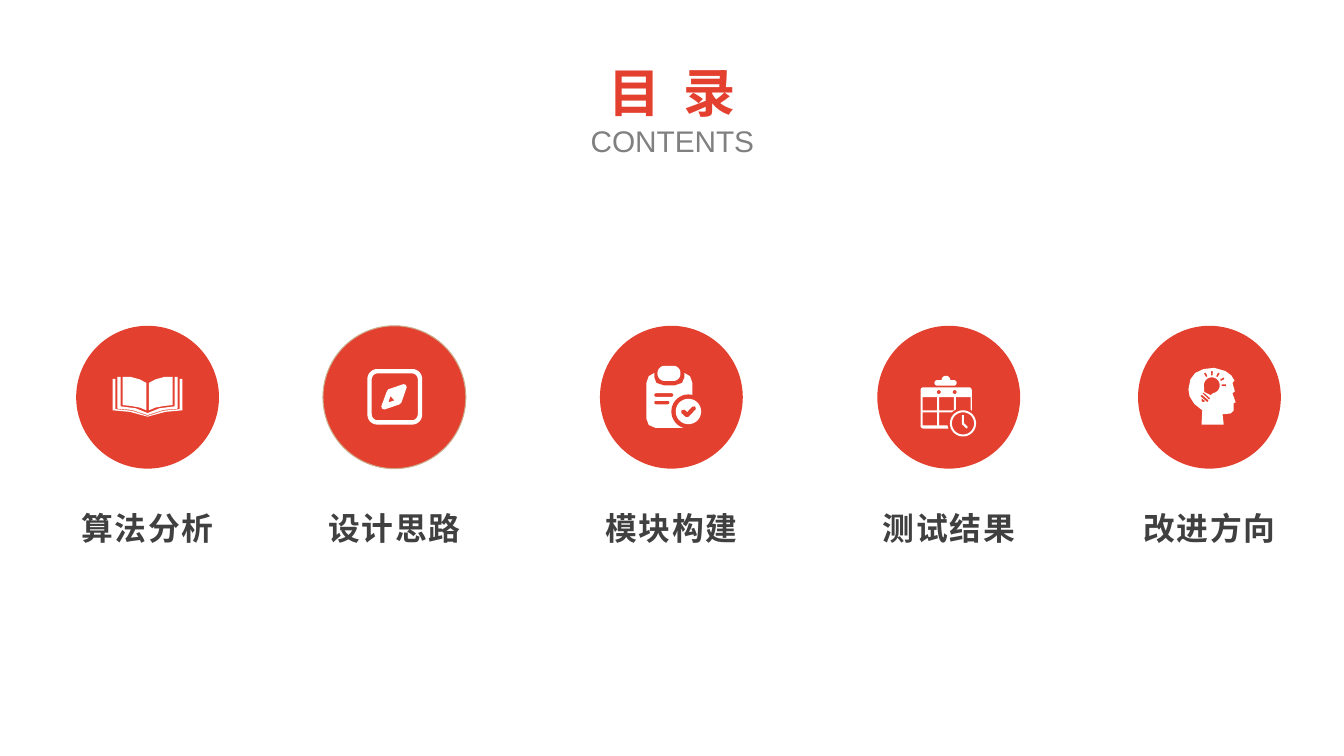
from math import cos, radians, sin

from lxml import etree
from pptx import Presentation
from pptx.dml.color import RGBColor
from pptx.enum.shapes import MSO_SHAPE
from pptx.enum.text import PP_ALIGN
from pptx.oxml.ns import qn
from pptx.util import Cm, Pt

OVAL = MSO_SHAPE.OVAL
CENTER = PP_ALIGN.CENTER

RED = RGBColor(0xE4, 0x40, 0x2F)
TAN = RGBColor(0xCB, 0xAB, 0x89)
GREY = RGBColor(0x80, 0x80, 0x80)
DARK = RGBColor(0x40, 0x40, 0x40)
WHITE = RGBColor(0xFF, 0xFF, 0xFF)

CJK_FONT = "Noto Sans CJK SC"
TITLE = dict(name="Roboto Condensed", size=Pt(37.3), bold=True)
SUBTITLE = dict(name="Arial", size=Pt(21.3), bold=False)
LABEL = dict(name=CJK_FONT, size=Pt(22.7), bold=True)

DIAMETER = 3.6
CENTER_Y = 10.01
LABEL_W = 6


def arc(x, y, radius, start=0, end=360):
    """Points along an arc; angles in degrees, clockwise from the right."""
    steps = max(6, int(abs(end - start) / 10))
    angles = [radians(start + (end - start) * i / steps) for i in range(steps + 1)]
    return [(x + radius * cos(a), y + radius * sin(a)) for a in angles]


def rounded(x, y, w, h, radius):
    """Points of a rectangle with round corners."""
    left, right, top, bottom = x + radius, x + w - radius, y + radius, y + h - radius
    return (arc(left, top, radius, 180, 270) + arc(right, top, radius, 270, 360)
            + arc(right, bottom, radius, 0, 90) + arc(left, bottom, radius, 90, 180))


def box(x, y, w, h):
    return [(x, y), (x + w, y), (x + w, y + h), (x, y + h)]


# An icon is a list of (colour, outlines) layers in cm from its circle's centre;
# an outline inside another one is a hole.

def book_icon():
    half = [
        [(0.03, -0.36), (0.2, -0.45), (0.42, -0.51), (0.63, -0.51),
         (0.63, 0.2), (0.42, 0.22), (0.2, 0.26), (0.03, 0.33)],
        [(0.68, -0.51), (0.76, -0.51), (0.76, 0.29), (0.4, 0.32), (0, 0.45),
         (0, 0.4), (0.3, 0.28), (0.68, 0.23)],
        [(0.81, -0.46), (0.88, -0.46), (0.88, 0.33), (0.45, 0.37), (0, 0.49),
         (0, 0.47), (0.4, 0.34), (0.81, 0.3)],
    ]
    return [(WHITE, half + [[(-x, y) for x, y in outline] for outline in half])]


def compass_icon():
    frame = [rounded(-0.68, -0.71, 1.38, 1.4, 0.25),
             rounded(-0.57, -0.6, 1.16, 1.18, 0.15)]
    needle = [(0.23, -0.33), (-0.15, -0.2), (-0.19, -0.15), (-0.33, 0.23),
              (-0.31, 0.29), (-0.25, 0.31), (0.13, 0.18), (0.18, 0.13),
              (0.31, -0.25), (0.29, -0.31)]
    eye = [(-0.15, 0.13), (-0.1, -0.03), (0, 0.08)]
    return [(WHITE, [needle, eye]), (WHITE, frame)]


def clipboard_icon():
    clip = rounded(-0.35, -0.79, 0.58, 0.38, 0.18)
    body = [(-0.43, -0.61), (-0.43, -0.5), (-0.38, -0.36), (-0.2, -0.3),
            (0.1, -0.3), (0.27, -0.36), (0.33, -0.5), (0.33, -0.61),
            (0.47, -0.53), (0.53, -0.36), (0.53, 0.77), (-0.41, 0.77),
            (-0.57, 0.7), (-0.63, 0.54), (-0.63, -0.36), (-0.57, -0.53)]
    rows = [rounded(-0.43, -0.1, 0.48, 0.09, 0.04),
            rounded(-0.43, 0.09, 0.38, 0.09, 0.04)]
    tick = [(0.25, 0.33), (0.33, 0.31), (0.4, 0.37), (0.52, 0.24), (0.6, 0.23),
            (0.62, 0.3), (0.43, 0.5), (0.36, 0.5), (0.25, 0.4)]
    return [(WHITE, [clip, body, *rows]),
            (RED, [arc(0.43, 0.36, 0.43)]),
            (WHITE, [arc(0.43, 0.36, 0.32), tick])]


def calendar_icon():
    clip = [rounded(-0.36, -0.43, 0.56, 0.14, 0.07), arc(-0.07, -0.43, 0.11, 180, 360)]
    dots = [arc(x, -0.13, 0.05) for x in (-0.25, 0.15)]
    cells = [box(-0.66 + 0.42 * col, 0.38 * row, 0.37, 0.33)
             for row in range(2) for col in range(3)]
    hands = [(0.33, 0.45), (0.38, 0.45), (0.38, 0.65), (0.48, 0.75),
             (0.45, 0.79), (0.33, 0.68)]
    clock = [arc(0.36, 0.66, 0.33), arc(0.36, 0.66, 0.28), hands]
    return [(WHITE, clip + [rounded(-0.71, -0.25, 1.29, 1.04, 0.07)] + dots + cells),
            (RED, [arc(0.36, 0.66, 0.39)]),
            (WHITE, clock)]


def idea_icon():
    head = [(-0.2, 0.69), (-0.18, 0.33), (-0.38, 0.17), (-0.5, -0.02), (-0.53, -0.2),
            (-0.48, -0.45), (-0.36, -0.61), (-0.15, -0.71), (0.12, -0.74),
            (0.4, -0.66), (0.55, -0.55), (0.63, -0.42), (0.58, -0.36),
            (0.64, -0.15), (0.58, -0.1), (0.66, 0.13), (0.61, 0.15),
            (0.61, 0.34), (0.53, 0.41), (0.33, 0.43), (0.36, 0.69)]
    bulb = [(-0.13, -0.13)] + arc(0.06, -0.3, 0.2, 180, 440) + [(0.03, -0.05)]
    screw = [[(-0.18, -0.1), (-0.15, -0.12), (0.02, 0.03), (-0.01, 0.06)],
             [(-0.23, -0.03), (-0.19, -0.06), (-0.02, 0.08), (-0.05, 0.13)],
             [(-0.2, 0.03), (-0.1, 0.1), (-0.17, 0.13), (-0.2, 0.09)]]
    rays = [arc(0.06, -0.3, 0.25, a - 5, a + 5) + arc(0.06, -0.3, 0.36, a + 4, a - 4)
            for a in range(-120, 1, 30)]
    return [(WHITE, [head, bulb, *screw, *rays])]


def paint(shape, color):
    shape.shadow.inherit = False
    shape.fill.solid()
    shape.fill.fore_color.rgb = color
    shape.line.fill.background()


def add_circle(s, x):
    shape = s.shapes.add_shape(OVAL, Cm(x - DIAMETER / 2), Cm(CENTER_Y - DIAMETER / 2),
                               Cm(DIAMETER), Cm(DIAMETER))
    paint(shape, RED)
    return shape


def add_icon(s, x, layers):
    for color, outlines in layers:
        builder = None
        for outline in outlines:
            points = [(Cm(x + dx), Cm(CENTER_Y + dy)) for dx, dy in outline]
            if builder is None:
                builder = s.shapes.build_freeform(*points[0])
            else:
                builder.move_to(*points[0])
            builder.add_line_segments(points[1:], close=True)
        paint(builder.convert_to_shape(), color)


def add_text_frame(s, x, y, w, h):
    tf = s.shapes.add_textbox(Cm(x), Cm(y), Cm(w), Cm(h)).text_frame
    tf.word_wrap = True
    for side in ("left", "right", "top", "bottom"):
        setattr(tf, f"margin_{side}", 0)
    return tf


def write(p, text, style, color, spacing=0):
    """Fill a centred paragraph; spacing is the letter spacing in points."""
    p.alignment = CENTER
    r = p.add_run()
    r.text = text
    for name, value in style.items():
        setattr(r.font, name, value)
    r.font.color.rgb = color
    props = r._r.get_or_add_rPr()
    props.set("spc", str(round(spacing * 100)))
    east_asian = etree.Element(qn("a:ea"), typeface=CJK_FONT)
    props.find(qn("a:latin")).addnext(east_asian)


def main():
    prs = Presentation()
    prs.slide_width, prs.slide_height = Cm(33.87), Cm(19.05)
    s = prs.slides.add_slide(prs.slide_layouts[6])

    tf = add_text_frame(s, 14.2, 1.52, 5.49, 2.77)
    write(tf.paragraphs[0], "目 录", TITLE, RED, 3.75)
    write(tf.add_paragraph(), "CONTENTS", SUBTITLE, GREY)

    sections = [
        (3.72, "算法分析", book_icon()),
        (9.94, "设计思路", compass_icon()),
        (16.92, "模块构建", clipboard_icon()),
        (23.91, "测试结果", calendar_icon()),
        (30.48, "改进方向", idea_icon()),
    ]
    circles = {}
    for x, label, icon in sections:
        circles[label] = add_circle(s, x)
        add_icon(s, x, icon)
        p = add_text_frame(s, x - LABEL_W / 2, 12.34, LABEL_W, 1.74).paragraphs[0]
        p.line_spacing = 1.5
        write(p, label, LABEL, DARK, 1.3)

    outline = circles["设计思路"].line
    outline.color.rgb = TAN
    outline.width = Pt(0.75)

    prs.save("out.pptx")


if __name__ == "__main__":
    main()
